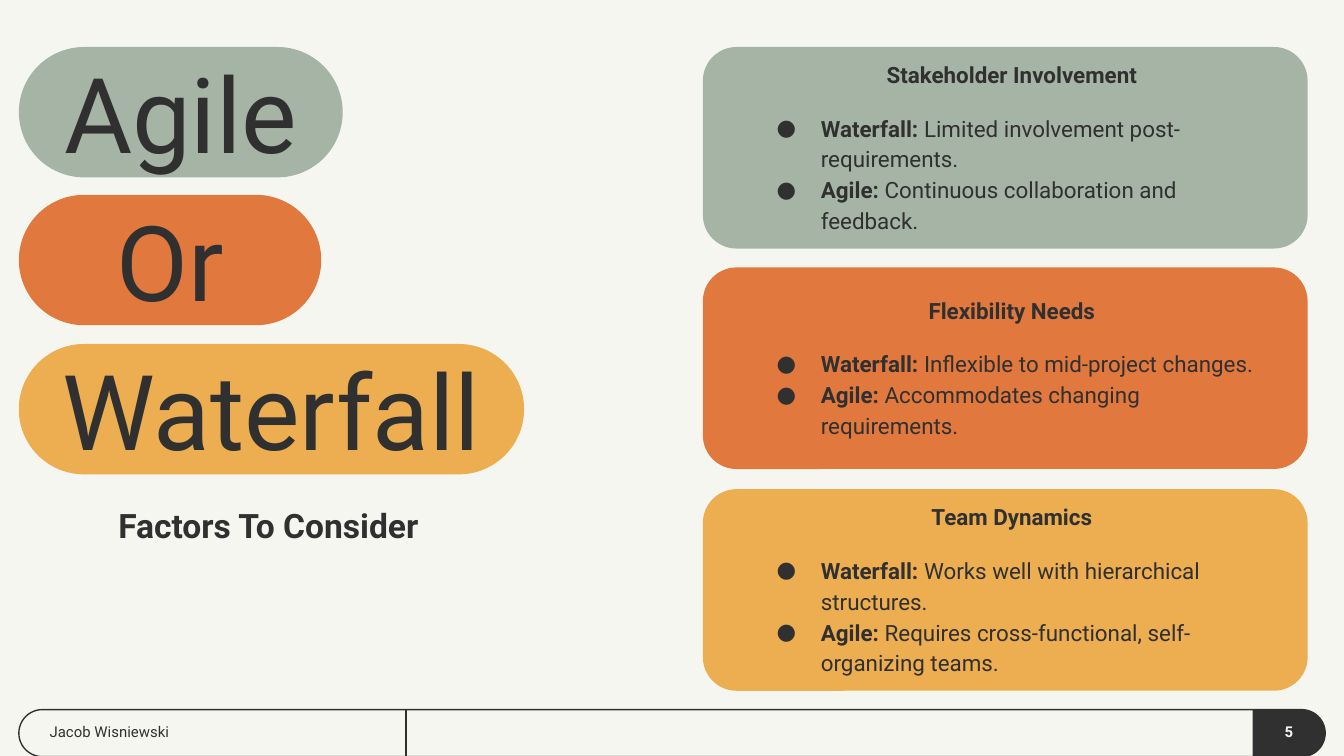
from lxml import etree
from pptx import Presentation
from pptx import util as u
from pptx.dml.color import RGBColor
from pptx.enum import shapes, text
from pptx.oxml.ns import qn
from pptx.util import Inches

FONT = "Roboto"
INK, PAPER = "303030", "F6F6F1"
SAGE, ORANGE, AMBER = "A5B4A5", "E1783D", "EDAD51"
PILL_HEIGHT = 0.97
CARD_LEFT, CARD_WIDTH, CARD_HEIGHT = 5.23, 4.5, 1.5
FOOTER_TOP, FOOTER_HEIGHT = 5.28, 0.35

PILLS = [
    ("Agile", SAGE, 0.35, 2.41),
    ("Or", ORANGE, 1.45, 2.25),
    ("Waterfall", AMBER, 2.56, 3.76),
]
CARDS = [
    ("Stakeholder Involvement", SAGE, 0.35,
     "Limited involvement post-requirements.",
     "Continuous collaboration and feedback."),
    ("Flexibility Needs", ORANGE, 1.99,
     "Inflexible to mid-project changes.",
     "Accommodates changing requirements."),
    ("Team Dynamics", AMBER, 3.64,
     "Works well with hierarchical structures.",
     "Requires cross-functional, self-organizing teams."),
]


def color(value):
    """Turn a hex string into a colour."""
    return RGBColor.from_string(value)


def style(paragraph, size, ink=INK, bold=False, align=text.PP_ALIGN.LEFT):
    """Set the font and alignment of a whole paragraph."""
    paragraph.alignment = align
    font = paragraph.font
    font.name, font.size, font.bold = FONT, u.Pt(size), bold
    font.color.rgb = color(ink)


def set_frame(frame, anchor=text.MSO_ANCHOR.TOP, right=0.1):
    """Set wrapping, anchor and insets of a text frame."""
    frame.word_wrap = True
    frame.auto_size = text.MSO_AUTO_SIZE.NONE
    frame.vertical_anchor = anchor
    frame.margin_left = frame.margin_top = frame.margin_bottom = Inches(0.1)
    frame.margin_right = Inches(right)


def add_label(slide, box, words, size, **looks):
    """Add a one-paragraph text box."""
    frame = slide.shapes.add_textbox(*map(Inches, box)).text_frame
    set_frame(frame)
    frame.text = words
    style(frame.paragraphs[0], size, **looks)


def add_panel(slide, box, rounding, fill=None, kind=shapes.MSO_SHAPE.ROUNDED_RECTANGLE):
    """Add a rounded panel, filled or only outlined."""
    panel = slide.shapes.add_shape(kind, *map(Inches, box))
    panel.shadow.inherit = False
    panel.adjustments[0] = rounding
    if fill:
        panel.fill.solid()
        panel.fill.fore_color.rgb = color(fill)
        panel.line.fill.background()
    else:
        panel.fill.background()
        panel.line.color.rgb = color(INK)
        panel.line.width = u.Pt(0.75)
    return panel


def add_pill(slide, box, word, fill):
    """Add one large word on a pill."""
    frame = add_panel(slide, box, 0.5, fill).text_frame
    set_frame(frame, text.MSO_ANCHOR.MIDDLE)
    frame.text = word
    style(frame.paragraphs[0], 56, align=text.PP_ALIGN.CENTER)


def add_bullet(paragraph):
    """Give a paragraph a hanging round bullet."""
    properties = paragraph._p.get_or_add_pPr()
    properties.set("marL", str(Inches(0.5)))
    properties.set("indent", str(Inches(-0.33)))
    bullet_color = etree.SubElement(properties, qn("a:buClr"))
    etree.SubElement(bullet_color, qn("a:srgbClr"), val=INK)
    etree.SubElement(properties, qn("a:buFont"), typeface=FONT)
    etree.SubElement(properties, qn("a:buChar"), char="●")


def add_card(slide, box, heading, fill, waterfall, agile):
    """Add a card that compares both methods on one factor."""
    left, top, width, height = box
    add_panel(slide, box, 0.167, fill)
    body = (left + 0.28, top, width - 0.56, height)
    frame = slide.shapes.add_textbox(*map(Inches, body)).text_frame
    set_frame(frame, text.MSO_ANCHOR.MIDDLE, right=0)
    frame.text = heading
    style(frame.paragraphs[0], 12, bold=True, align=text.PP_ALIGN.CENTER)
    for method, remark, gap in (("Waterfall:", waterfall, 12), ("Agile:", agile, 0)):
        point = frame.add_paragraph()
        add_bullet(point)
        point.line_spacing = 1.15
        point.space_before = u.Pt(gap)
        style(point, 12)
        name = point.add_run()
        name.text = method
        name.font.bold = True
        point.add_run().text = f" {remark}"


def add_footer(slide, box, author, number):
    """Add the footer bar with author, divider and page number."""
    left, top, width, height = box
    add_panel(slide, box, 0.5)
    divider_x = left + 2.88
    divider = slide.shapes.add_connector(
        shapes.MSO_CONNECTOR.STRAIGHT,
        *map(Inches, (divider_x, top, divider_x, top + height)))
    divider.line.color.rgb = color(INK)
    divider.line.width = u.Pt(0.75)
    etree.SubElement(divider._element.spPr, qn("a:effectLst"))

    tab_width = 0.54
    tab_left = left + width - tab_width
    shift = (tab_width - height) / 2
    tab = add_panel(slide, (tab_left + shift, top - shift, height, tab_width), 0.5, INK,
                    shapes.MSO_SHAPE.ROUND_2_SAME_RECTANGLE)
    tab.rotation = 90
    add_label(slide, (left + 0.13, top, 2.41, height), author, 8)
    add_label(slide, (tab_left, top, tab_width, height), number, 8,
              ink=PAPER, bold=True, align=text.PP_ALIGN.CENTER)


def add_title(slide, box, words):
    """Place and format the slide title."""
    title = slide.shapes.title
    title.left, title.top, title.width, title.height = map(Inches, box)
    set_frame(title.text_frame)
    title.text_frame.text = words
    heading = title.text_frame.paragraphs[0]
    heading.line_spacing = 1.0
    style(heading, 18, bold=True)


def main():
    """Build and save the slide."""
    deck = Presentation()
    deck.slide_width = Inches(10)
    deck.slide_height = deck.slide_width * 9 // 16
    slide = deck.slides.add_slide(deck.slide_layouts[5])
    slide.background.fill.solid()
    slide.background.fill.fore_color.rgb = color(PAPER)

    add_footer(slide, (0.14, FOOTER_TOP, 9.72, FOOTER_HEIGHT), "Jacob Wisniewski", "5")
    for word, fill, top, width in PILLS:
        add_pill(slide, (0.14, top, width, PILL_HEIGHT), word, fill)
    for heading, fill, top, waterfall, agile in CARDS:
        add_card(slide, (CARD_LEFT, top, CARD_WIDTH, CARD_HEIGHT),
                 heading, fill, waterfall, agile)
    add_title(slide, (0.78, 3.66, 2.47, 0.51), "Factors To Consider")
    deck.save("out.pptx")


if __name__ == "__main__":
    main()
